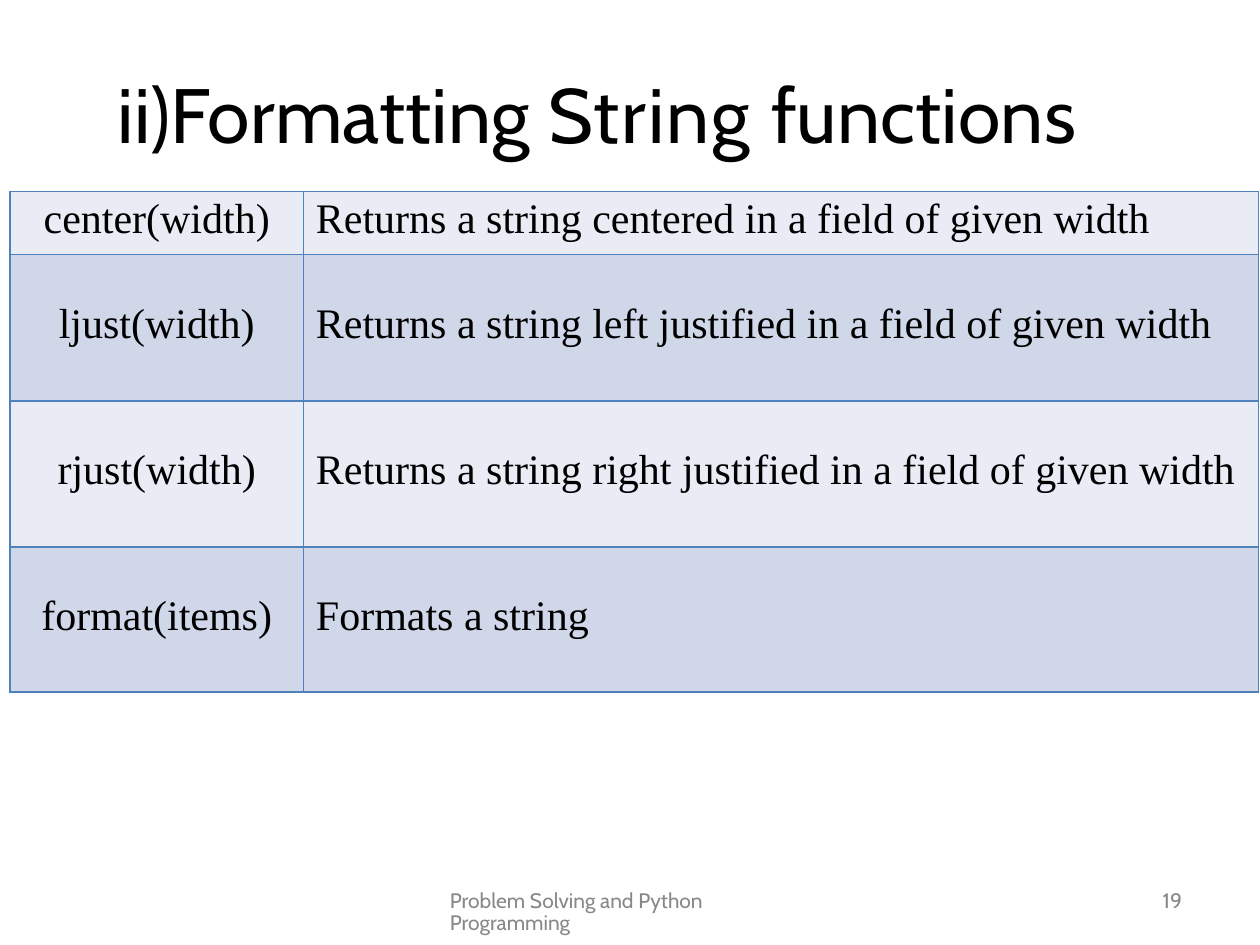
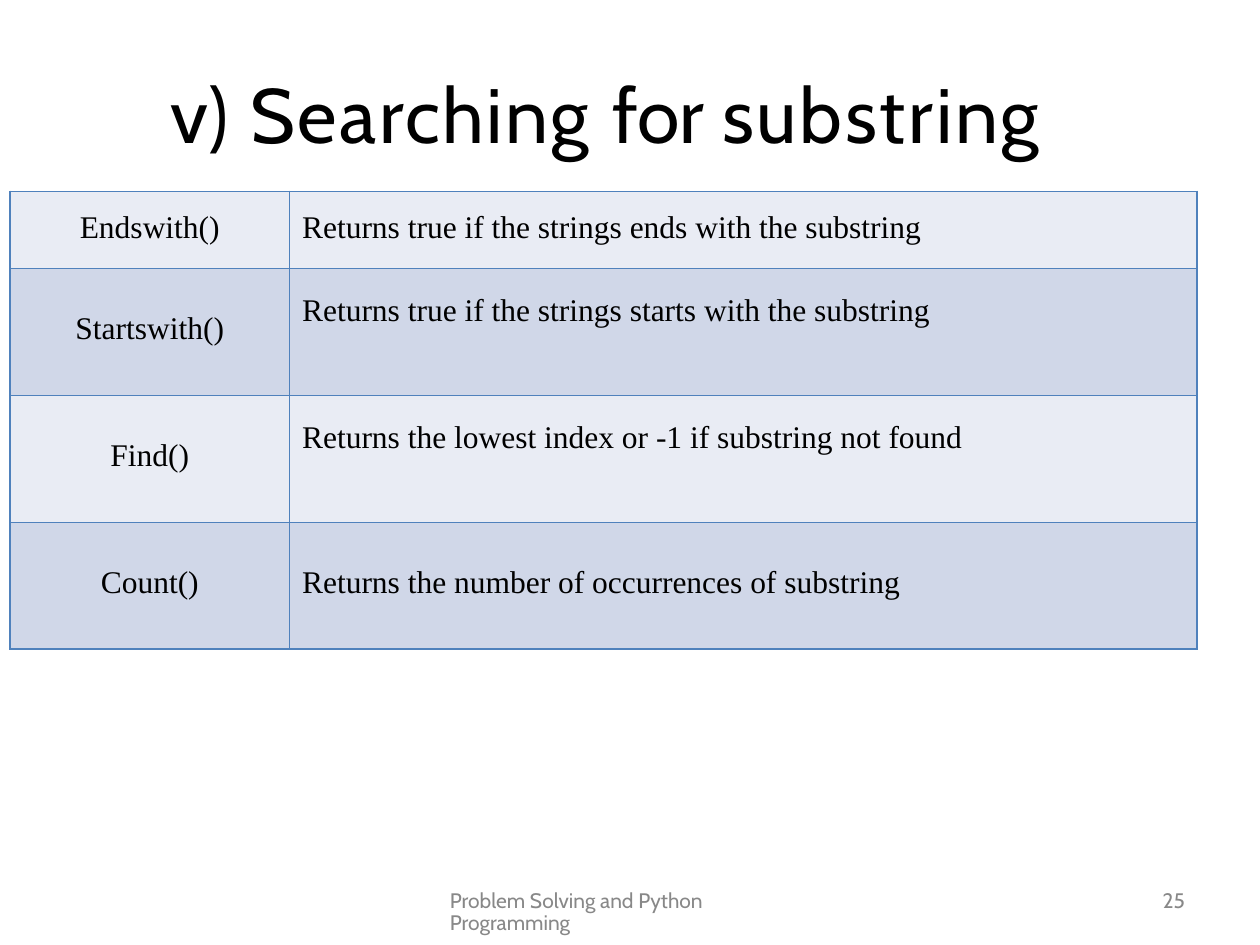
from lxml import etree
from pptx import Presentation
from pptx.dml.color import RGBColor
from pptx.enum.text import MSO_ANCHOR, MSO_AUTO_SIZE, PP_ALIGN
from pptx.oxml.ns import qn
from pptx.util import Cm, Pt

BLACK = RGBColor(0x00, 0x00, 0x00)
GREY = RGBColor(0x88, 0x88, 0x88)
BORDER_BLUE = RGBColor(0x4F, 0x81, 0xBC)
PALE_BLUE = RGBColor(0xE9, 0xEC, 0xF4)
MID_BLUE = RGBColor(0xD0, 0xD7, 0xE8)

HEADING_FONT = "Cabin"
TABLE_FONT = "Times New Roman"
FOOTER = "Problem Solving and Python Programming"

# Title runs are (text, letter spacing in points).
# Table rows are (height, function, its top margin, description, its top margin), in cm.
TOPICS = [
    dict(
        title=[("ii)Formatting ", 0.1), ("String ", 1.1), ("functions", 0.1)],
        title_left=2.34, title_width=20.75, page="19",
        size=24, columns=(5.92, 19.25),
        rows=[
            (1.27, "center(width)", 0.1,
             "Returns a string centered in a field of given width", 0.1),
            (2.95, "ljust(width)", 0.93,
             "Returns a string left justified in a field of given width", 0.93),
            (2.95, "rjust(width)", 0.93,
             "Returns a string right justified in a field of given width", 0.93),
            (2.92, "format(items)", 0.93, "Formats a string", 0.93),
        ],
    ),
    dict(
        title=[("v) Searching ", 1.4), ("for ", 0.1), ("substring", 1.6)],
        title_left=3.4, title_width=18.59, page="25",
        size=18, columns=(5.64, 18.29),
        rows=[
            (1.55, "Endswith()", 0.38,
             "Returns true if the strings ends with the substring", 0.38),
            (2.56, "Startswith()", 0.87,
             "Returns true if the strings starts with the substring", 0.51),
            (2.56, "Find()", 0.87,
             "Returns the lowest index or -1 if substring not found", 0.51),
            (2.55, "Count()", 0.87,
             "Returns the number of occurrences of substring", 0.87),
        ],
    ),
]


def write(frame, runs, size=12, font=HEADING_FONT, color=BLACK,
          align=PP_ALIGN.LEFT, line_spacing=None, margins=(0, 0, 0, 0)):
    """Fill a frame with one paragraph; margins are left, top, right, bottom in cm."""
    frame.word_wrap = True
    (frame.margin_left, frame.margin_top,
     frame.margin_right, frame.margin_bottom) = map(Cm, margins)
    paragraph = frame.paragraphs[0]
    paragraph.alignment = align
    if line_spacing:
        paragraph.line_spacing = Pt(line_spacing)
    for text, spacing in runs:
        run = paragraph.add_run()
        run.text = text
        run.font.size = Pt(size)
        run.font.name = font
        run.font.color.rgb = color
        if spacing:
            run.font._element.set("spc", str(round(spacing * 100)))


def style_cell(cell, fill):
    """Give a cell its four borders, then its fill."""
    properties = cell._tc.get_or_add_tcPr()
    for side in ("lnL", "lnR", "lnT", "lnB"):
        line = etree.SubElement(properties, qn(f"a:{side}"), w=str(Pt(1)))
        solid = etree.SubElement(line, qn("a:solidFill"))
        etree.SubElement(solid, qn("a:srgbClr"), val=str(BORDER_BLUE))
    cell.fill.solid()
    cell.fill.fore_color.rgb = fill


deck = Presentation()
deck.slide_width, deck.slide_height = Cm(25.4), Cm(19.05)

for topic in TOPICS:
    slide = deck.slides.add_slide(deck.slide_layouts[5])

    # Title
    title = slide.shapes.title
    title.left, title.top = Cm(topic["title_left"]), Cm(1.32)
    title.width, title.height = Cm(topic["title_width"]), Cm(1.93)
    title.text_frame.vertical_anchor = MSO_ANCHOR.TOP
    title.text_frame.auto_size = MSO_AUTO_SIZE.SHAPE_TO_FIT_TEXT
    write(title.text_frame, topic["title"], size=44, margins=(0.03, 0.03, 0, 0))

    # Footer and page number
    for text, left, width, indent in ((FOOTER, 9.04, 7.32, 0.03),
                                      (topic["page"], 23.34, 0.64, 0.1)):
        footer = slide.shapes.add_textbox(Cm(left), Cm(17.96), Cm(width), Cm(0.48))
        footer.text_frame.auto_size = MSO_AUTO_SIZE.SHAPE_TO_FIT_TEXT
        write(footer.text_frame, [(text, 0)], color=GREY, line_spacing=12.4,
              margins=(indent, 0, 0, 0))

    # Table of string functions
    rows, columns = topic["rows"], topic["columns"]
    functions = slide.shapes.add_table(
        len(rows), len(columns), Cm(0.2), Cm(3.86),
        Cm(sum(columns)), Cm(sum(row[0] for row in rows))).table
    functions.first_row = functions.horz_banding = False
    for column, width in zip(functions.columns, columns):
        column.width = Cm(width)

    for index, (height, name, name_top, description, description_top) in enumerate(rows):
        functions.rows[index].height = Cm(height)
        entries = ((name, PP_ALIGN.CENTER, 0, name_top),
                   (description, PP_ALIGN.LEFT, 0.25, description_top))
        for position, (text, align, indent, top) in enumerate(entries):
            cell = functions.cell(index, position)
            style_cell(cell, MID_BLUE if index % 2 else PALE_BLUE)
            write(cell.text_frame, [(text, 0)], size=topic["size"],
                  font=TABLE_FONT, align=align)
            cell.margin_left, cell.margin_top = Cm(indent), Cm(top)
            cell.margin_right = cell.margin_bottom = 0

deck.save("out.pptx")
